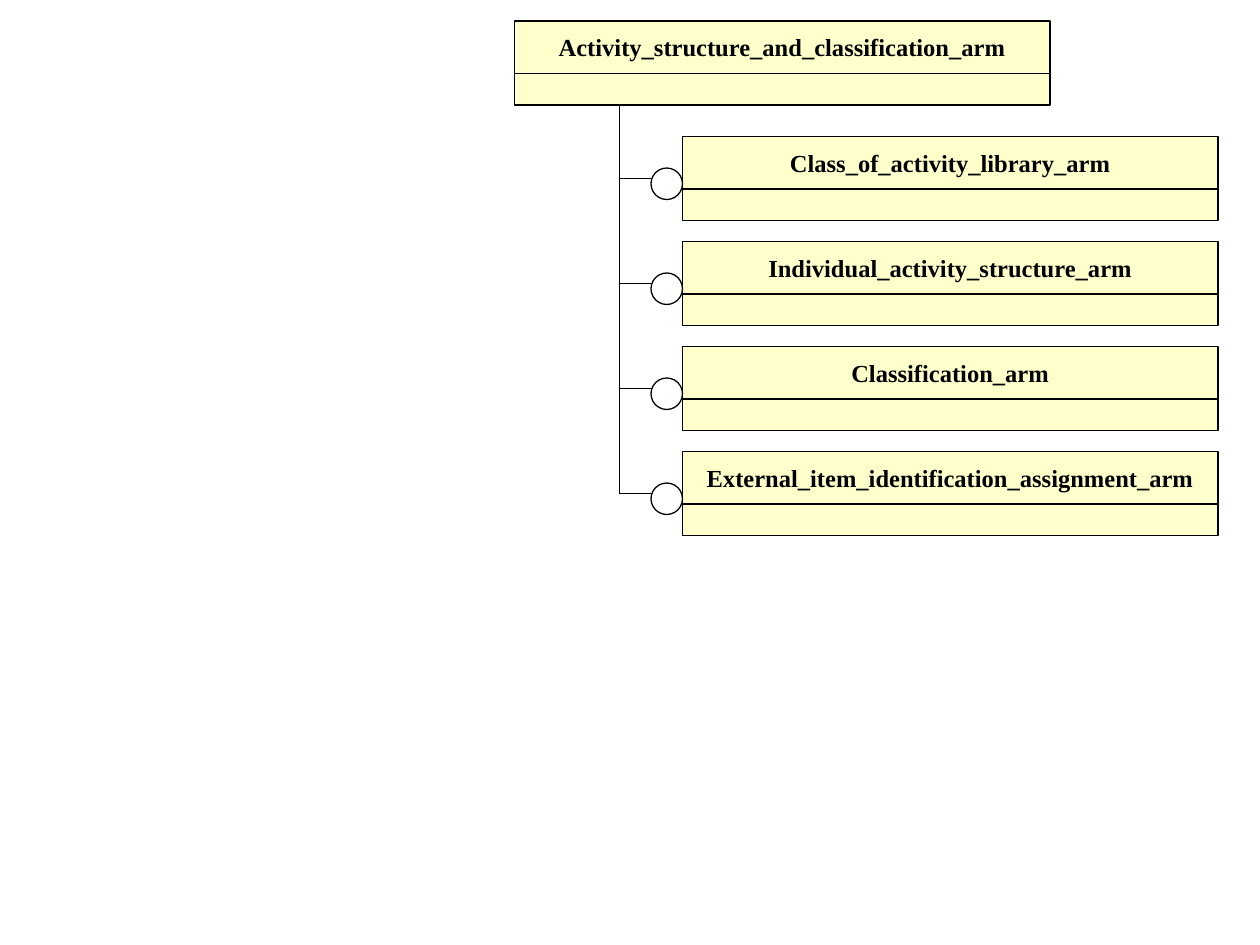
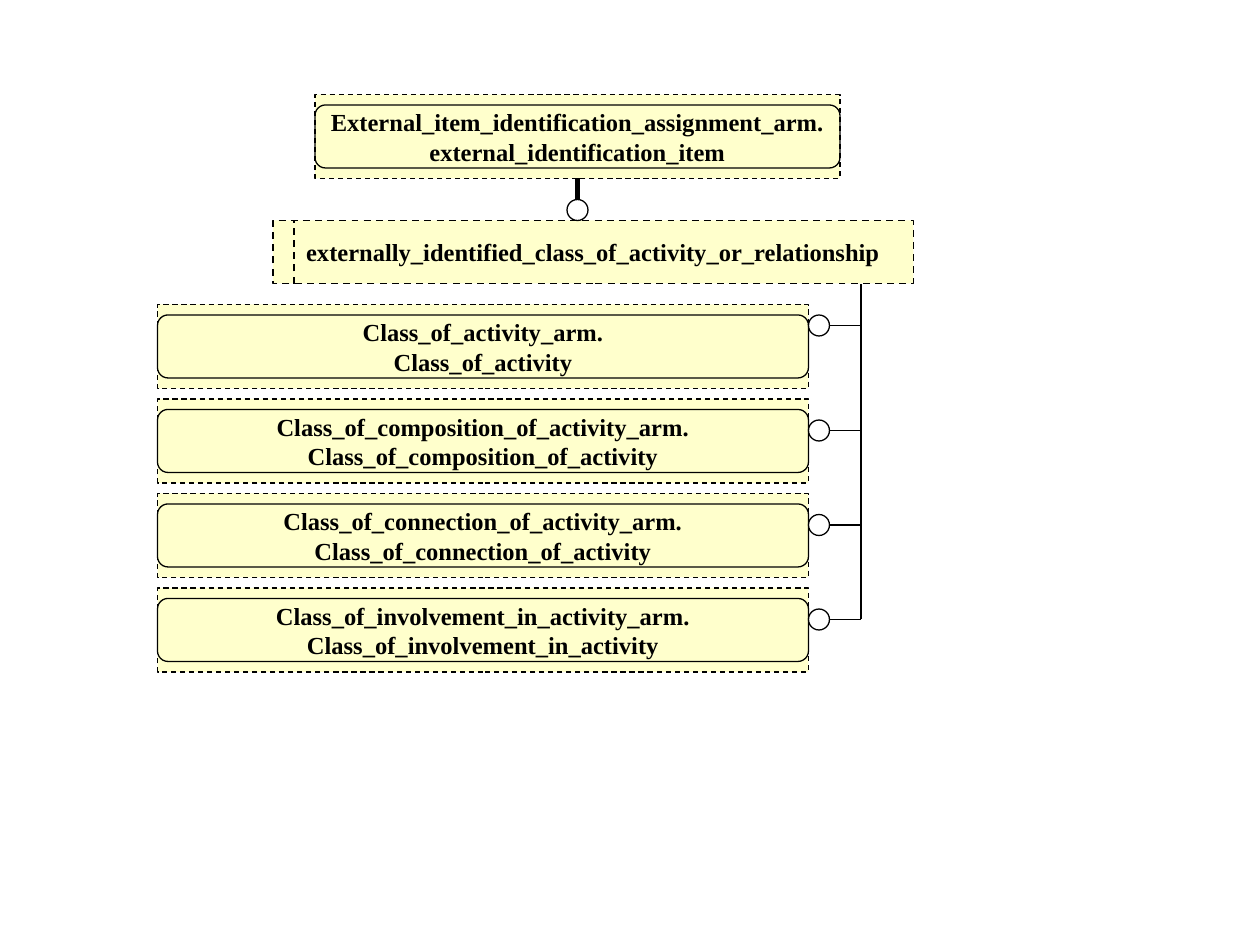
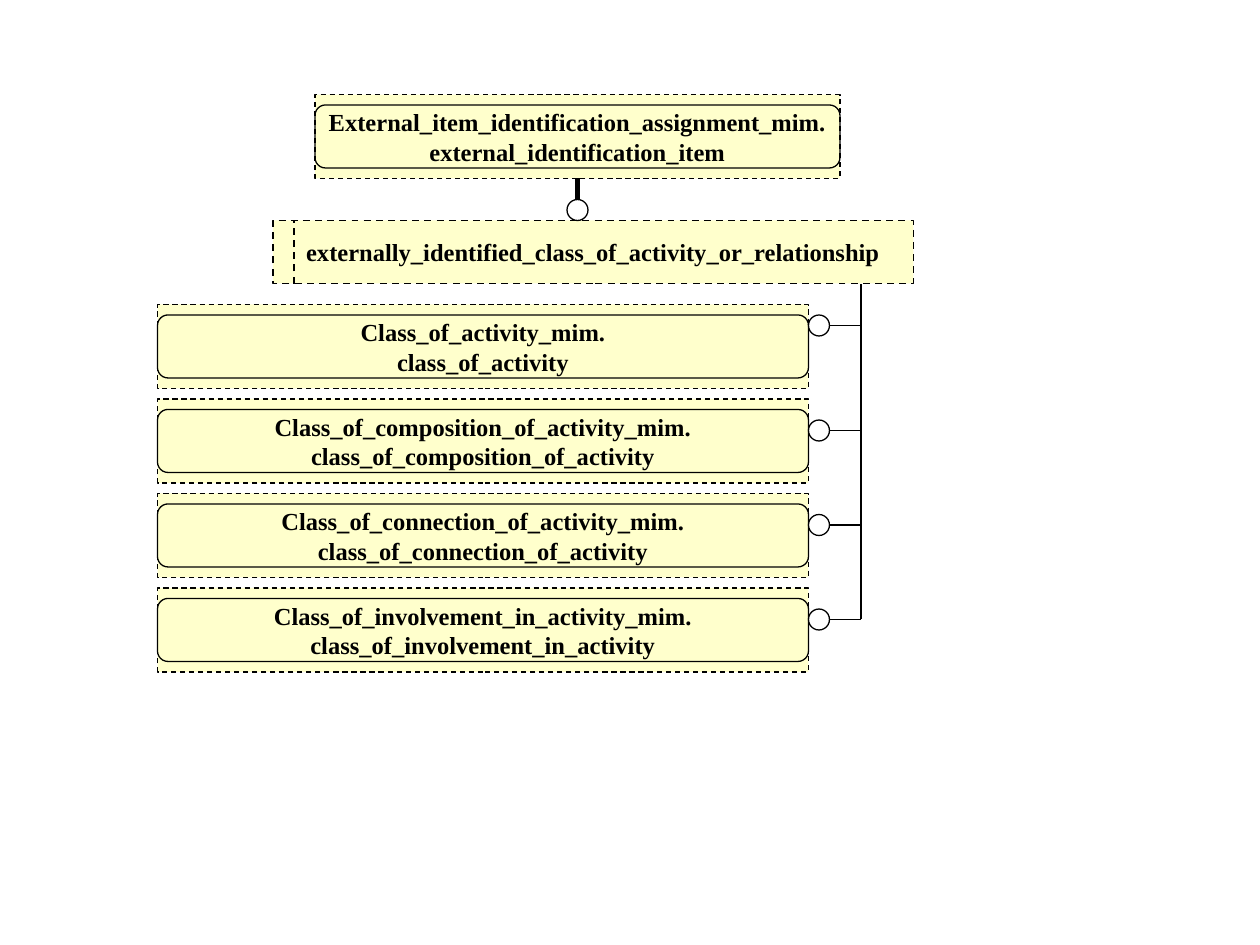
from dataclasses import dataclass

from lxml.etree import SubElement
from pptx import Presentation
from pptx.dml.color import RGBColor
from pptx.enum.dml import MSO_LINE
from pptx.enum.shapes import MSO_CONNECTOR, MSO_SHAPE
from pptx.enum.text import MSO_ANCHOR, PP_ALIGN
from pptx.oxml.ns import qn
from pptx.util import Cm, Pt

COLORS = {"entity": "FFFFCC", "circle": "FFFFFF", "ink": "000000"}
FONT = "Times New Roman"
TEXT_SIZE = 14
THIN, MEDIUM, THICK = 0.75, 1, 3

MODULES = [
    "Class_of_activity_library_arm",
    "Individual_activity_structure_arm",
    "Classification_arm",
    "External_item_identification_assignment_arm",
]
MEMBERS = [
    "class_of_activity",
    "class_of_composition_of_activity",
    "class_of_connection_of_activity",
    "class_of_involvement_in_activity",
]


@dataclass
class Box:
    """A rectangle measured in grid steps, twelve to the inch."""
    left: float
    top: float
    width: float
    height: float

    def offset(self, right, down, width, height):
        """Give a box of another size, placed from this one's corner."""
        return Box(self.left + right, self.top + down, width, height)


def grid(steps):
    """Turn grid steps into a length."""
    return Cm(steps * 2.54 / 12)


def color(name):
    return RGBColor.from_string(COLORS[name])


def style_line(line, width, dashed):
    line.color.rgb = color("ink")
    line.width = Pt(width)
    if dashed:
        line.dash_style = MSO_LINE.DASH


def add_outline(shapes, kind, box, fill=None, width=THIN, dashed=False):
    """Add a preset shape, hollow when no fill is named."""
    shape = shapes.add_shape(kind, grid(box.left), grid(box.top),
                             grid(box.width), grid(box.height))
    shape.shadow.inherit = False
    if fill:
        shape.fill.solid()
        shape.fill.fore_color.rgb = color(fill)
    else:
        shape.fill.background()
    style_line(shape.line, width, dashed)
    return shape


def add_line(shapes, x1, y1, x2, y2, width=THIN, dashed=False):
    connector = shapes.add_connector(MSO_CONNECTOR.STRAIGHT, grid(x1), grid(y1),
                                     grid(x2), grid(y2))
    style_line(connector.line, width, dashed)
    SubElement(connector._element.spPr, qn("a:effectLst"))


def add_circle(shapes, box):
    add_outline(shapes, MSO_SHAPE.OVAL, box, "circle")


def write_lines(shape, lines):
    """Centre bold lines in a shape, one paragraph each."""
    frame = shape.text_frame
    frame.word_wrap = False
    frame.vertical_anchor = MSO_ANCHOR.MIDDLE
    for index, text in enumerate(lines):
        para = frame.add_paragraph() if index else frame.paragraphs[0]
        para.alignment = PP_ALIGN.CENTER
        span = para.add_run()
        span.text = text
        span.font.name = FONT
        span.font.size = Pt(TEXT_SIZE)
        span.font.bold = True
        span.font.color.rgb = color("ink")


def draw_module(page, box, name):
    """Draw a schema: a name field over a shallow empty field."""
    shapes = page.shapes.add_group_shape().shapes
    foot = 3
    head = box.height - foot
    title = add_outline(shapes, MSO_SHAPE.RECTANGLE,
                        box.offset(0, 0, box.width, head), "entity")
    write_lines(title, [name])
    add_outline(shapes, MSO_SHAPE.RECTANGLE,
                box.offset(0, head, box.width, foot), "entity")


def draw_reference(page, box, schema, item):
    """Draw a dashed box with a rounded box inside, naming schema and item."""
    shapes = page.shapes.add_group_shape().shapes
    frame = add_outline(shapes, MSO_SHAPE.RECTANGLE, box, "entity", dashed=True)
    write_lines(frame, [f"{schema}.", item])
    inner = add_outline(shapes, MSO_SHAPE.ROUNDED_RECTANGLE,
                        box.offset(0, 1, box.width, box.height - 2))
    inner.adjustments[0] = 1 / 6


def draw_select(page, box, name):
    """Draw a dashed select type with its bar on the left."""
    frame = add_outline(page.shapes, MSO_SHAPE.RECTANGLE, box, "entity",
                        MEDIUM, dashed=True)
    write_lines(frame, [name])
    bar = box.left + 2
    add_line(page.shapes, bar, box.top + box.height, bar, box.top, MEDIUM, dashed=True)


def draw_module_tree(page, root, name, children):
    """Hang the child modules below the root on one trunk."""
    trunk = root.left + 10
    first, pitch = root.height + 3, 10
    branch = root.top + first + 4
    bottom = branch + pitch * (len(children) - 1)
    draw_module(page, root, name)
    add_line(page.shapes, trunk, bottom, trunk, root.top + root.height)
    for index, child_name in enumerate(children):
        child = root.offset(16, first + pitch * index, root.width, root.height)
        level = branch + pitch * index
        draw_module(page, child, child_name)
        add_circle(page.shapes, child.offset(-3, 3, 3, 3))
        add_line(page.shapes, trunk, level, child.left - 3, level)


def draw_members(page, box, model, names, trunk, trunk_top):
    """Stack the members from the first box down, tied to a trunk on the right."""
    pitch = box.height + 1
    edge = box.left + box.width
    for index, name in enumerate(names):
        member = box.offset(0, pitch * index, box.width, box.height)
        level = member.top + (3 if index else 2)
        item = name.capitalize() if model == "arm" else name
        draw_reference(page, member, f"{name.capitalize()}_{model}", item)
        add_circle(page.shapes, Box(edge, level - 1, 2, 2))
        add_line(page.shapes, edge + 2, level, trunk, level)
    add_line(page.shapes, trunk, level, trunk, trunk_top)


def draw_select_tree(page, select, model):
    """Draw the select type, its base type above and its members below."""
    bottom = select.top + select.height
    draw_select(page, select, "externally_identified_class_of_activity_or_relationship")
    draw_members(page, select.offset(-11, select.height + 2, 62, 8), model, MEMBERS,
                 select.left + 56, bottom)
    base = select.offset(4, -12, 50, 8)
    draw_reference(page, base, f"External_item_identification_assignment_{model}",
                   "external_identification_item")
    middle = base.left + base.width / 2
    add_circle(page.shapes, Box(middle - 1, select.top - 2, 2, 2))
    add_line(page.shapes, middle, select.top - 2, middle, base.top + base.height, THICK)


def main():
    deck = Presentation()
    deck.slide_width, deck.slide_height = Cm(25.4), Cm(19.05)
    blank = deck.slide_layouts[6]
    draw_module_tree(deck.slides.add_slide(blank), Box(49, 2, 51, 8),
                     "Activity_structure_and_classification_arm", MODULES)
    for model in ("arm", "mim"):
        draw_select_tree(deck.slides.add_slide(blank), Box(26, 21, 61, 6), model)
    deck.save("out.pptx")


if __name__ == "__main__":
    main()
